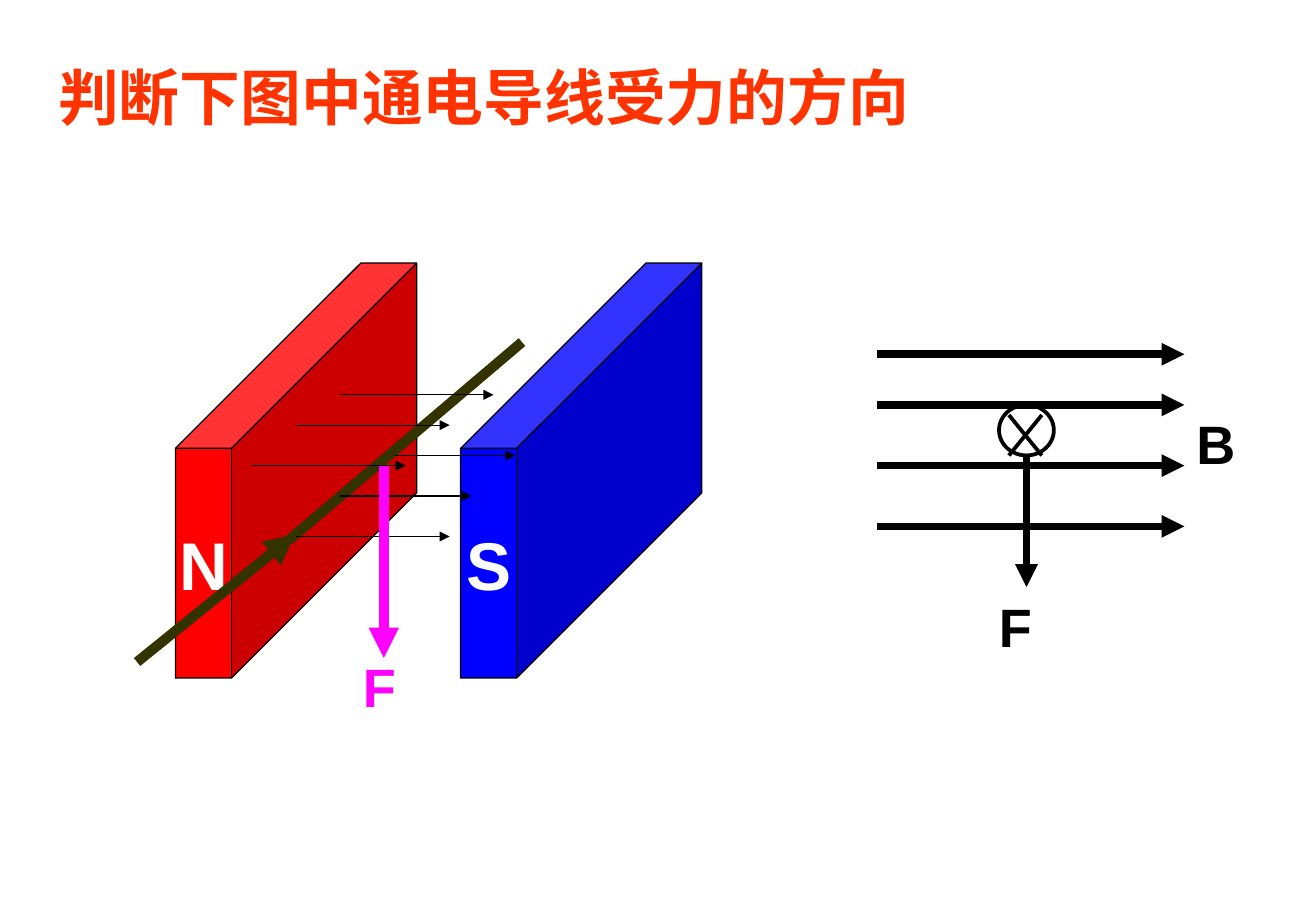
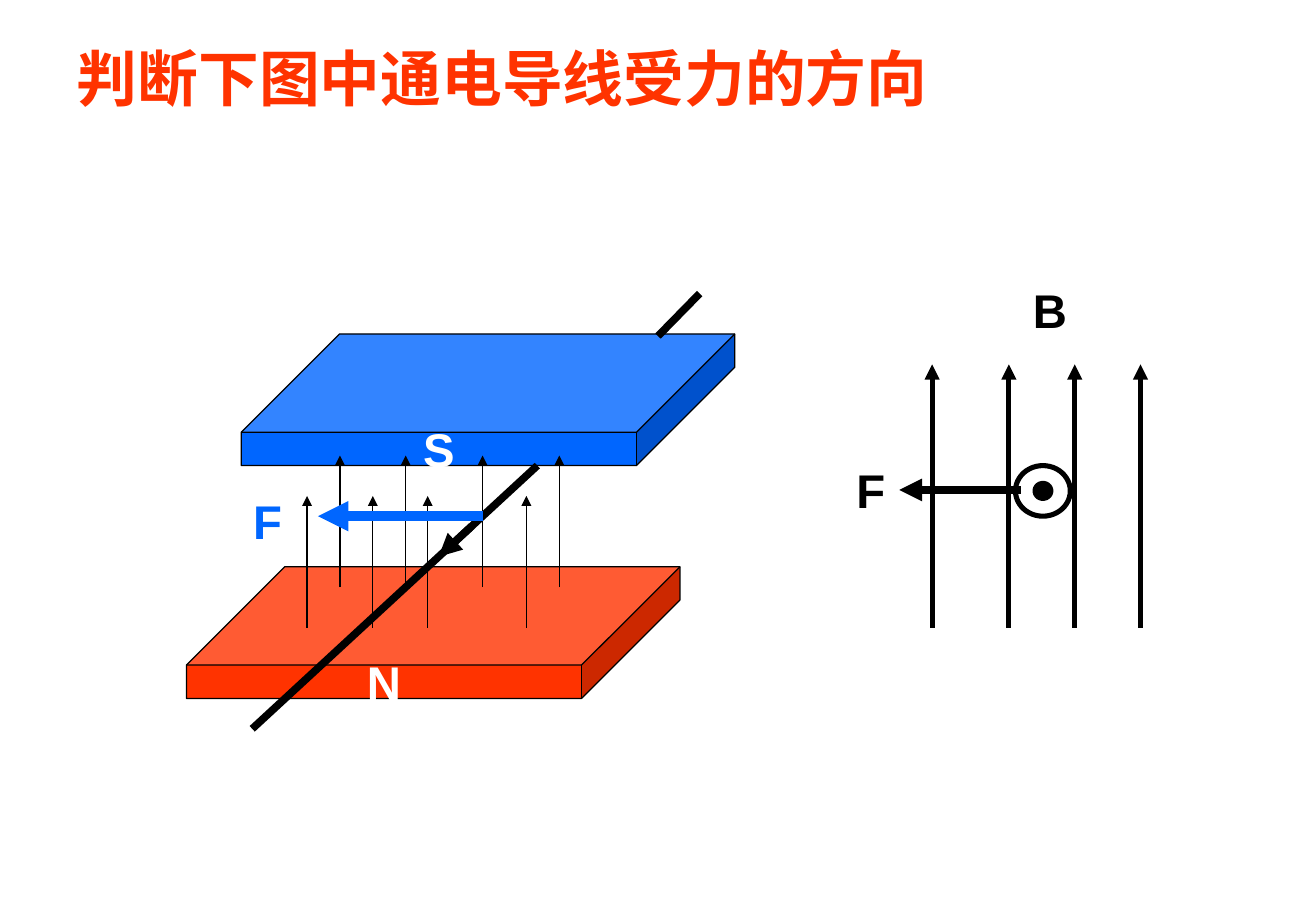
from dataclasses import dataclass

from lxml import etree
from pptx import Presentation, util as u
from pptx.dml.color import RGBColor
from pptx.enum import shapes, text
from pptx.oxml import ns


@dataclass(frozen=True)
class Theme:
    font: str = "Arial"
    title: str = "FF3300"
    black: str = "000000"
    white: str = "FFFFFF"
    red: str = "FF0000"
    blue: str = "0000FF"
    orange: str = "FF3300"
    azure: str = "0066FF"
    wire: str = "333300"
    force: str = "FF00FF"
    dot: str = "BBE0E3"
    title_size: int = 36
    thin: float = 0.75


theme = Theme()
TITLE = "判断下图中通电导线受力的方向"

presentation = Presentation()
presentation.slide_width, presentation.slide_height = u.Inches(10.83), u.Inches(7.5)
COLUMN = presentation.slide_width / 120
ROW = presentation.slide_height / 90


def grid(*values):
    """Turn alternating column and row counts into lengths."""
    return [u.Emu(int(value * (ROW if index % 2 else COLUMN)))
            for index, value in enumerate(values)]


def add_line(parent, ends, color, width, arrow=True):
    line = parent.shapes.add_connector(shapes.MSO_CONNECTOR.STRAIGHT, *grid(*ends))
    line.line.color.rgb = RGBColor.from_string(color)
    line.line.width = u.Pt(width)
    if arrow:
        etree.SubElement(line.line._get_or_add_ln(), ns.qn("a:tailEnd"), type="triangle")
    etree.SubElement(line._element.spPr, ns.qn("a:effectLst"))


# Positions are columns and rows: boxes as left, top, width, height; lines as x1, y1, x2, y2.
scenes = [
    {
        "title": (4.2, 5.3, 83.8, 8.4),
        "label_size": 32,
        "magnet_size": 40,
        "depth": 0.768,
        "magnets": [("N", (16, 26, 22, 41), theme.red), ("S", (42, 26, 22, 41), theme.blue)],
        "lines": [((12.5, 65.4, 26.9, 52.8), theme.wire, 6, True),
                  ((26.3, 53.4, 47.6, 33.8), theme.wire, 6, False)]
                 + [((x, y, x + length, y), theme.black, theme.thin, True)
                    for x, y, length in [(31, 39, 14), (27, 42, 14), (23, 46, 14),
                                         (36, 45, 11), (31, 49, 12), (27, 53, 14)]]
                 + [((35, 46, 35, 65), theme.force, 6, True)],
        "labels": [("F", (32, 64, 7, 7.6), theme.force)],
        "field": [((80, y, 108, y), theme.black, 4.5, True) for y in (35, 40, 46, 52)],
        "circles": [((91.1, 40, 5, 5), None, 2.25)],
        "current": [((95, 41, 92, 45), theme.black, 2.25, False),
                    ((92, 41, 95, 45), theme.black, 2.25, False),
                    ((93.6, 45, 93.6, 58), theme.black, 4.5, True)],
        "view_labels": [("F", (90, 58, 7, 7.6), theme.black),
                        ("B", (108, 40, 7, 7.6), theme.black)],
    },
    {
        "title": (5.9, 3.4, 87.3, 8.4),
        "label_size": 28,
        "magnet_size": 28,
        "depth": 0.747,
        "magnets": [("S", (22, 33, 45, 13), theme.azure), ("N", (17, 56, 45, 13), theme.orange)],
        "lines": [((23, 72, 43, 52), theme.black, 4.5, False),
                  ((49, 46, 40, 55), theme.black, 4.5, True)]
                 + [((x, bottom, x, bottom - 13), theme.black, theme.thin, True)
                    for bottom, columns in [(58, (31, 37, 44, 51)), (62, (28, 34, 39, 48))]
                    for x in columns]
                 + [((44, 51, 29, 51), theme.azure, 6, True),
                    ((60, 33.2, 63.8, 29), theme.black, 4.5, False)],
        "labels": [("F", (22, 48, 5, 6.9), theme.azure)],
        "field": [((x, 62, x, 36), theme.black, 3, True) for x in (85, 92, 98, 104)],
        "circles": [((92.6, 46, 5, 5), theme.white, 3), ((94.6, 48, 1, 1), theme.dot, 6)],
        "current": [((93.1, 48.4, 82, 48.4), theme.black, 4.5, True)],
        "view_labels": [("B", (93.1, 27.2, 7, 6.9), theme.black),
                        ("F", (77, 45, 5, 6.9), theme.black)],
    },
]

for scene in scenes:
    slide = presentation.slides.add_slide(presentation.slide_layouts[5])
    title = slide.shapes.title
    title.left, title.top, title.width, title.height = grid(*scene["title"])
    title.text_frame.text = TITLE
    title.text_frame.word_wrap = True
    title.text_frame.vertical_anchor = text.MSO_ANCHOR.TOP
    title.text_frame.auto_size = text.MSO_AUTO_SIZE.SHAPE_TO_FIT_TEXT
    paragraph = title.text_frame.paragraphs[0]
    paragraph.alignment = text.PP_ALIGN.LEFT
    paragraph.font.name, paragraph.font.bold = theme.font, True
    paragraph.font.size = u.Pt(theme.title_size)
    paragraph.font.color.rgb = RGBColor.from_string(theme.title)

    for pole, box, color in scene["magnets"]:
        magnet = slide.shapes.add_shape(shapes.MSO_SHAPE.CUBE, *grid(*box))
        magnet.adjustments[0] = scene["depth"]
        magnet.shadow.inherit = False
        magnet.fill.solid()
        magnet.fill.fore_color.rgb = RGBColor.from_string(color)
        magnet.line.color.rgb = RGBColor.from_string(theme.black)
        magnet.line.width = u.Pt(theme.thin)
        magnet.text_frame.text = pole
        magnet.text_frame.word_wrap = False
        magnet.text_frame.vertical_anchor = text.MSO_ANCHOR.MIDDLE
        paragraph = magnet.text_frame.paragraphs[0]
        paragraph.alignment = text.PP_ALIGN.CENTER
        paragraph.font.name, paragraph.font.bold = theme.font, True
        paragraph.font.size = u.Pt(scene["magnet_size"])
        paragraph.font.color.rgb = RGBColor.from_string(theme.white)

    for line in scene["lines"]:
        add_line(slide, *line)

    side_view = slide.shapes.add_group_shape()
    for line in scene["field"]:
        add_line(side_view, *line)
    for box, color, width in scene["circles"]:
        circle = side_view.shapes.add_shape(shapes.MSO_SHAPE.OVAL, *grid(*box))
        circle.shadow.inherit = False
        if color:
            circle.fill.solid()
            circle.fill.fore_color.rgb = RGBColor.from_string(color)
        else:
            circle.fill.background()
        circle.line.color.rgb = RGBColor.from_string(theme.black)
        circle.line.width = u.Pt(width)
    for line in scene["current"]:
        add_line(side_view, *line)

    for parent, labels in [(slide, scene["labels"]), (side_view, scene["view_labels"])]:
        for letter, box, color in labels:
            label = parent.shapes.add_textbox(*grid(*box))
            label.text_frame.text = letter
            label.text_frame.word_wrap = True
            label.text_frame.auto_size = text.MSO_AUTO_SIZE.SHAPE_TO_FIT_TEXT
            paragraph = label.text_frame.paragraphs[0]
            paragraph.font.name, paragraph.font.bold = theme.font, True
            paragraph.font.size = u.Pt(scene["label_size"])
            paragraph.font.color.rgb = RGBColor.from_string(color)

presentation.save("out.pptx")
